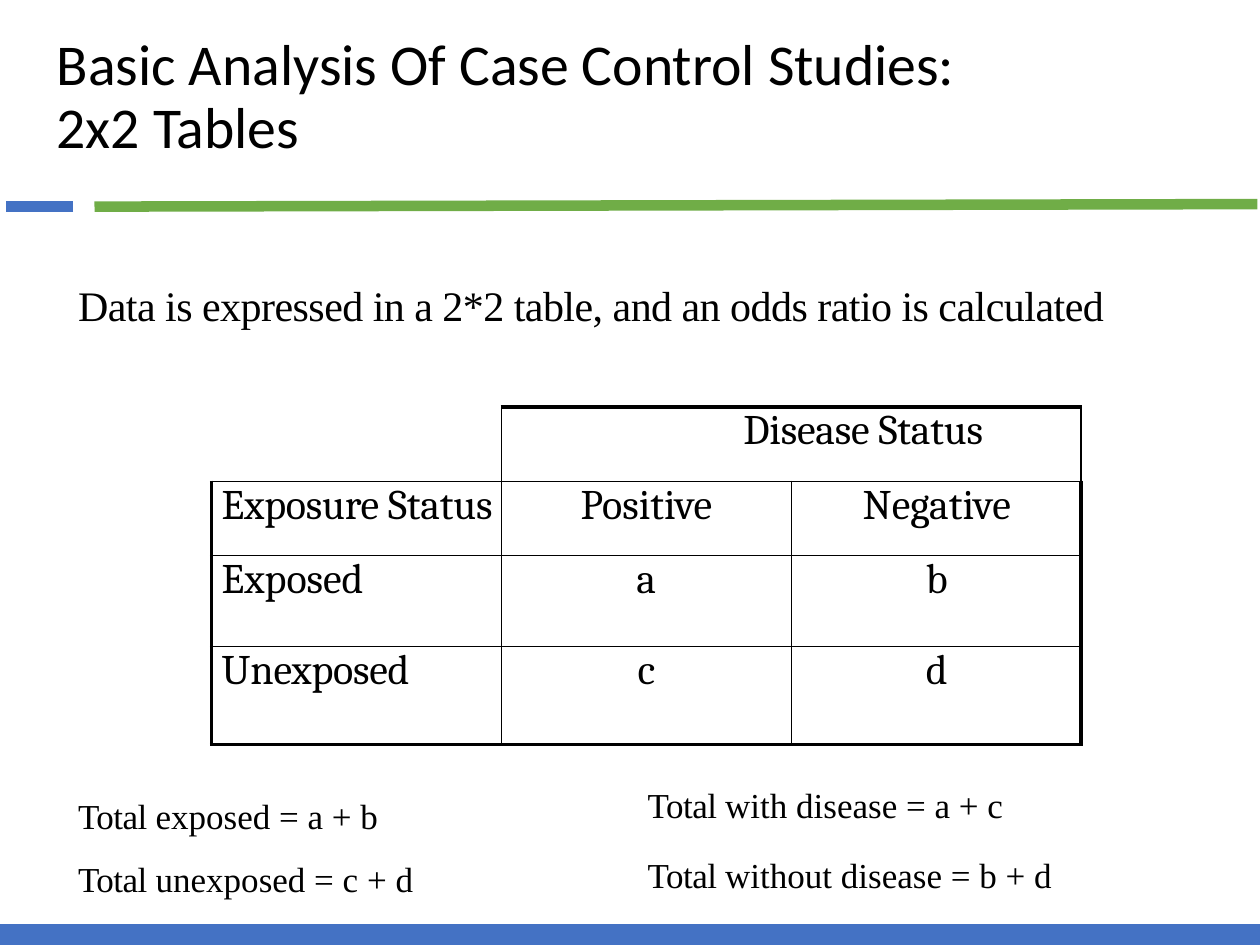
"""Builds a slide on the 2x2 table of a case control study."""
from lxml.etree import SubElement
from pptx import Presentation
from pptx.dml.color import RGBColor
from pptx.enum.text import MSO_ANCHOR, MSO_AUTO_SIZE, PP_ALIGN
from pptx.oxml import parse_xml
from pptx.oxml.ns import nsdecls, qn
from pptx.util import Inches, Pt

BLACK = RGBColor(0x00, 0x00, 0x00)
BLUE = RGBColor(0x44, 0x72, 0xC4)
GREEN = RGBColor(0x70, 0xAD, 0x47)
COLUMNS, ROWS = 100, 75
THICK, THIN = 2.25, 1
TABLE_ROWS = [
    ["", "Disease Status", ""],
    ["Exposure Status", "Positive", "Negative"],
    ["Exposed", "a", "b"],
    ["Unexposed", "c", "d"],
]
ROW_HEIGHTS = [5.9, 5.9, 7.2, 7.8]


class SlideBuilder:
    def __init__(self, presentation):
        self.slide = presentation.slides.add_slide(presentation.slide_layouts[5])
        self.column = presentation.slide_width / COLUMNS
        self.row = presentation.slide_height / ROWS

    def box(self, left, top, width, height):
        return (int(left * self.column), int(top * self.row),
                int(width * self.column), int(height * self.row))

    def format_run(self, run, font_name, size, tracking=0):
        run.font.name = font_name
        run.font.size = Pt(size)
        run.font.color.rgb = BLACK
        if tracking:
            run.font._element.set("spc", str(int(tracking * 100)))

    def line(self, start, end, color, width):
        x1, y1, x2, y2 = self.box(*start, *end)
        connector = self.slide.shapes.add_connector(1, x1, y1, x2, y2)
        connector.line.color.rgb = color
        connector.line.width = Pt(width)
        SubElement(connector._element.spPr, qn("a:effectLst"))

    def title(self, text, *place):
        title = self.slide.shapes.title
        title.left, title.top, title.width, title.height = self.box(*place)
        frame = title.text_frame
        frame.text = text
        frame.auto_size = MSO_AUTO_SIZE.NONE
        frame.vertical_anchor = MSO_ANCHOR.MIDDLE
        paragraph = frame.paragraphs[0]
        paragraph.alignment = PP_ALIGN.LEFT
        paragraph.line_spacing = 0.9
        for run in paragraph.runs:
            self.format_run(run, "Calibri", 33)

    def text(self, paragraphs, place, size, line_spacing=1.0, gap=0):
        frame = self.slide.shapes.add_textbox(*self.box(*place)).text_frame
        frame.word_wrap = True
        frame.margin_left = Inches(0.01)
        frame.margin_top = frame.margin_right = frame.margin_bottom = 0
        for index, parts in enumerate(paragraphs):
            paragraph = frame.add_paragraph() if index else frame.paragraphs[0]
            paragraph.line_spacing = line_spacing
            if index and gap:
                paragraph.space_before = Pt(gap)
            for part, tracking in parts:
                run = paragraph.add_run()
                run.text = part
                self.format_run(run, "Times New Roman", size, tracking)

    def totals(self, endings, place, **spacing):
        self.text([[("Total ", -0.3), (ending, 0)] for ending in endings],
                  place, 20, **spacing)

    def borders(self, cell, widths):
        properties = cell._tc.get_or_add_tcPr()
        for index, (side, width) in enumerate(zip("LRTB", widths)):
            fill = (f'<a:solidFill><a:srgbClr val="{BLACK}"/></a:solidFill>'
                    if width else "<a:noFill/>")
            properties.insert(index, parse_xml(
                f'<a:ln{side} {nsdecls("a")} w="{Pt(width)}">{fill}</a:ln{side}>'))

    def table(self, rows, heights, left, top, column_width):
        last_row, last_column = len(rows) - 1, len(rows[0]) - 1
        place = self.box(left, top, column_width * len(rows[0]), sum(heights))
        table = self.slide.shapes.add_table(len(rows), len(rows[0]), *place).table
        table.first_row = table.horz_banding = False
        for table_row, height in zip(table.rows, heights):
            table_row.height = int(height * self.row)
        for r, values in enumerate(rows):
            for c, value in enumerate(values):
                cell = table.cell(r, c)
                cell.margin_top = cell.margin_right = cell.margin_bottom = 0
                cell.margin_left = Inches(1.92 if (r, c) == (0, 1) else (0.08, 0, 0.01)[c])
                cell.fill.background()
                corner = (r, c) == (0, 0)
                outer = 0 if corner else THICK
                self.borders(cell, (THIN if c else outer,
                                    THICK if c == last_column else THIN,
                                    THIN if r else outer,
                                    THICK if r == last_row else THIN))
                cell.text = value
                paragraph = cell.text_frame.paragraphs[0]
                paragraph.alignment = PP_ALIGN.CENTER if r and c else PP_ALIGN.LEFT
                for run in paragraph.runs:
                    self.format_run(run, "Cambria", 24, -0.1 if len(value) > 8 else 0)
        table.cell(0, 1).merge(table.cell(0, last_column))


def main():
    presentation = Presentation()
    presentation.slide_width, presentation.slide_height = Inches(10), Inches(7.5)
    builder = SlideBuilder(presentation)
    builder.line((99.8, 16.2), (7.5, 16.4), GREEN, 6)
    builder.line((5.8, 16.4), (0.5, 16.4), BLUE, 6)
    builder.line((COLUMNS, 74.2), (0, 74.2), BLUE, 12)
    builder.title("Basic Analysis Of Case Control Studies: \v2x2 Tables",
                  3.5, 2.2, 95.5, 11.2)
    builder.table(TABLE_ROWS, ROW_HEIGHTS, 16.8, 32.3, 23)
    builder.totals(["with disease = a + c", "without disease = b + d"],
                   (51.3, 62.2, 42.2, 9), gap=15.6)
    builder.totals(["exposed = a + b", "unexposed = c + d"],
                   (6.1, 61.4, 35, 9.5), line_spacing=1.5)
    builder.text([[("Data is expressed in a 2*2 table, and an odds ratio is calculated", -0.3)]],
                 (6.1, 20.2, 92.9, 5.3), 24, line_spacing=1.5)
    presentation.save("out.pptx")


if __name__ == "__main__":
    main()
